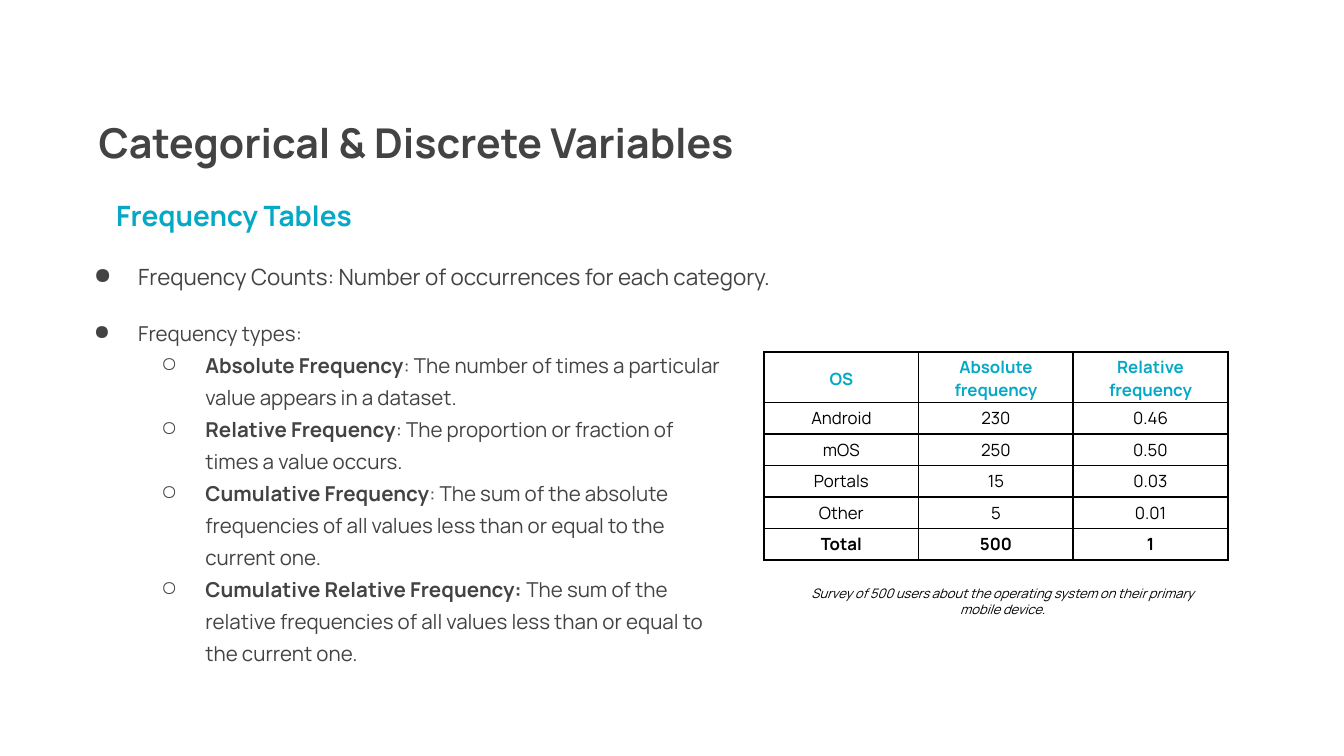
from lxml import etree
from pptx import Presentation
from pptx.dml.color import RGBColor
from pptx.enum.text import MSO_ANCHOR, PP_ALIGN
from pptx.oxml.ns import qn
from pptx.util import Pt

PX = 4572
FONT = "Manrope"
CENTER = PP_ALIGN.CENTER
MIDDLE = MSO_ANCHOR.MIDDLE
COLORS = {"text": "434343", "accent": "05A9C5", "black": "000000"}

FREQUENCY_TYPES = [
    ("Absolute Frequency", ": The number of times a particular value appears in a dataset."),
    ("Relative Frequency", ": The proportion or fraction of times a value occurs."),
    ("Cumulative Frequency", ": The sum of the absolute frequencies of all values "
                             "less than or equal to the current one."),
    ("Cumulative Relative Frequency:", " The sum of the relative frequencies of all values "
                                       "less than or equal to the current one."),
]
OS_ROWS = [
    ("OS", "Absolute frequency", "Relative frequency"),
    ("Android", "230", "0.46"),
    ("mOS", "250", "0.50"),
    ("Portals", "15", "0.03"),
    ("Other", "5", "0.01"),
    ("Total", "500", "1"),
]


def style_run(r, size, color, bold=False, italic=False):
    r.font.name = FONT
    r.font.size = Pt(size)
    r.font.bold = bold
    r.font.italic = italic
    r.font.color.rgb = RGBColor.from_string(COLORS[color])


def add_box(slide, box):
    tf = slide.shapes.add_textbox(*(v * PX for v in box)).text_frame
    tf.word_wrap = True
    tf.margin_left = tf.margin_right = tf.margin_top = tf.margin_bottom = 20 * PX
    return tf


def add_label(slide, box, text, size, color, **style):
    tf = add_box(slide, box)
    tf.text = text
    p = tf.paragraphs[0]
    style_run(p.runs[0], size, color, **style)
    return p


def add_bullet(p, char, left, spacing):
    pPr = p._p.get_or_add_pPr()
    pPr.set("marL", str(left * PX))
    pPr.set("indent", str(-66 * PX))
    clr = etree.SubElement(pPr, qn("a:buClr"))
    etree.SubElement(clr, qn("a:srgbClr"), val=COLORS["text"])
    etree.SubElement(pPr, qn("a:buChar"), char=char)
    p.line_spacing = spacing


def add_counts(slide, box):
    p = add_label(slide, box, "Frequency Counts: Number of occurrences for each category.", 12, "text")
    add_bullet(p, "●", 100, 1.15)


def add_types(slide, box):
    tf = add_box(slide, box)
    tf.text = "Frequency types:"
    p = tf.paragraphs[0]
    add_bullet(p, "●", 100, 1.3)
    style_run(p.runs[0], 11, "text")
    for term, meaning in FREQUENCY_TYPES:
        p = tf.add_paragraph()
        p.level = 1
        add_bullet(p, "○", 200, 1.3)
        for text, bold in ((term, True), (meaning, False)):
            r = p.add_run()
            r.text = text
            style_run(r, 11, "text", bold=bold)


def add_borders(cell):
    tcPr = cell._tc.get_or_add_tcPr()
    for i, side in enumerate(("a:lnL", "a:lnR", "a:lnT", "a:lnB")):
        ln = etree.Element(qn(side), w=str(Pt(1)))
        fill = etree.SubElement(ln, qn("a:solidFill"))
        etree.SubElement(fill, qn("a:srgbClr"), val=COLORS["black"])
        tcPr.insert(i, ln)


def add_os_table(slide, box):
    header_height = 75
    height = (box[3] - header_height) // (len(OS_ROWS) - 1)
    shape = slide.shapes.add_table(len(OS_ROWS), len(OS_ROWS[0]), *(v * PX for v in box))
    table = shape.table
    table.first_row = table.horz_banding = False
    for col in table.columns:
        col.width = box[2] // len(OS_ROWS[0]) * PX
    for i, values in enumerate(OS_ROWS):
        table.rows[i].height = (height if i else header_height) * PX
        for j, value in enumerate(values):
            cell = table.cell(i, j)
            cell.fill.background()
            add_borders(cell)
            cell.vertical_anchor = MIDDLE
            cell.margin_left = cell.margin_right = 16 * PX
            cell.margin_top, cell.margin_bottom = (0 if i else 4) * PX, 0
            cell.text = value
            p = cell.text_frame.paragraphs[0]
            p.alignment = CENTER
            style_run(p.runs[0], 9, "black" if i else "accent", bold=i in (0, len(OS_ROWS) - 1))


def add_caption(slide, box):
    p = add_label(slide, box, "Survey of 500 users about the operating system on their primary "
                  "mobile device.", 7, "black", italic=True)
    p.alignment = CENTER


def main():
    prs = Presentation()
    prs.slide_width, prs.slide_height = 2000 * PX, 1125 * PX
    slide = prs.slides.add_slide(prs.slide_layouts[6])
    add_label(slide, (127, 155, 1400, 120), "Categorical & Discrete Variables", 22, "text", bold=True)
    add_label(slide, (153, 276, 656, 90), "Frequency Tables", 15, "accent", bold=True)
    add_counts(slide, (86, 366, 1426, 80))
    add_types(slide, (86, 447, 1008, 558))
    add_os_table(slide, (1137, 524, 690, 310))
    add_caption(slide, (1164, 852, 656, 88))
    prs.save("out.pptx")


if __name__ == "__main__":
    main()
